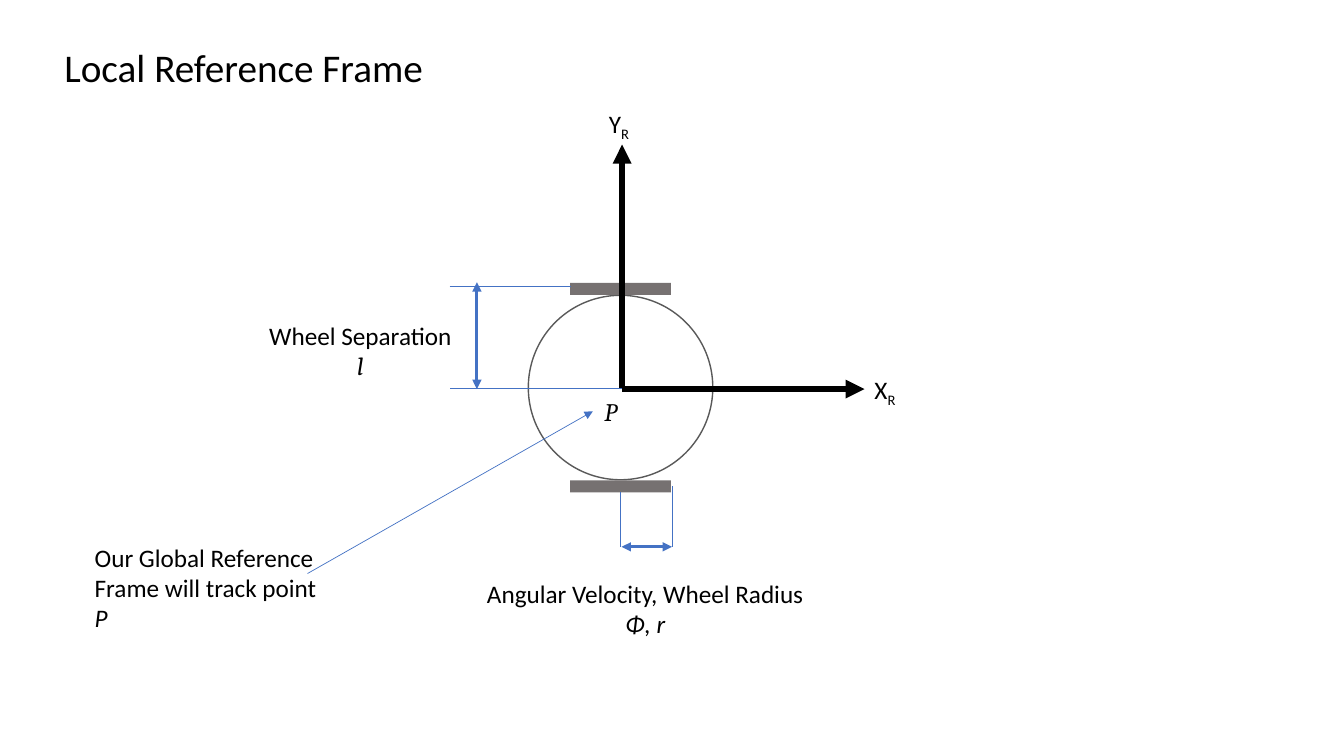
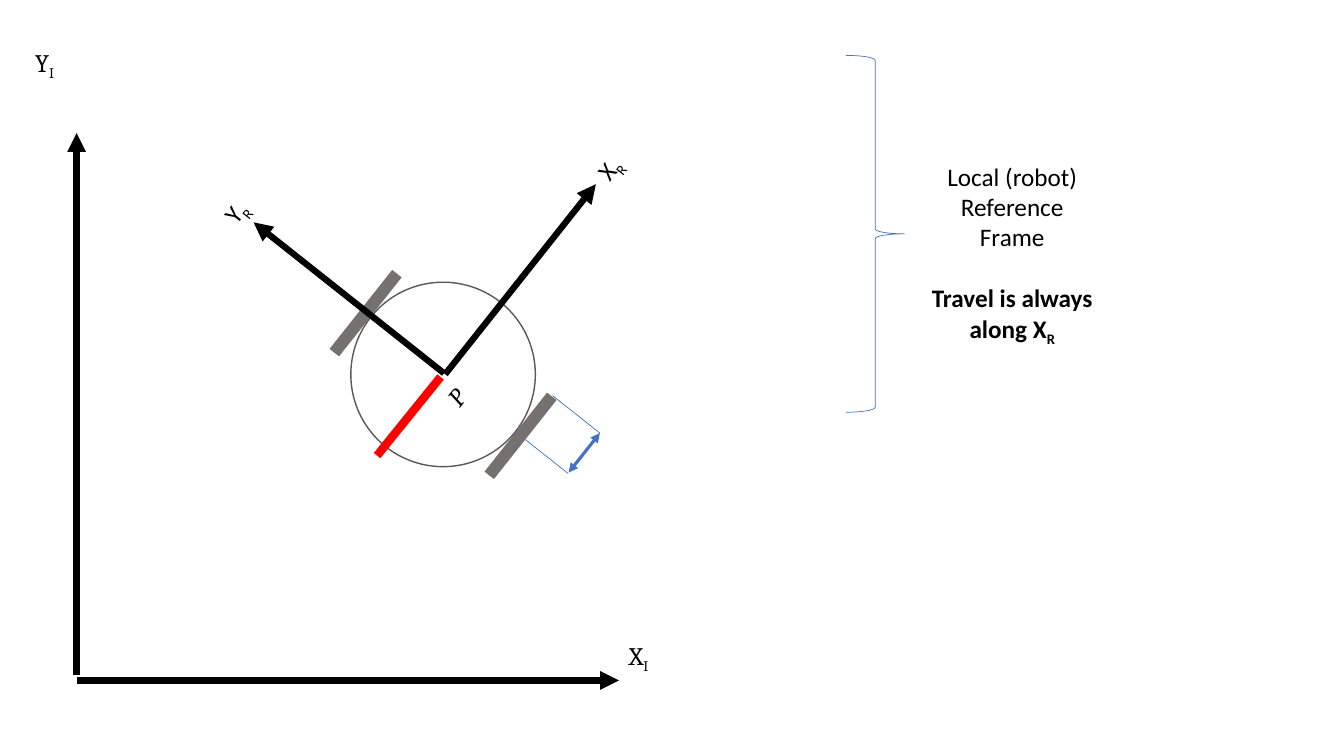
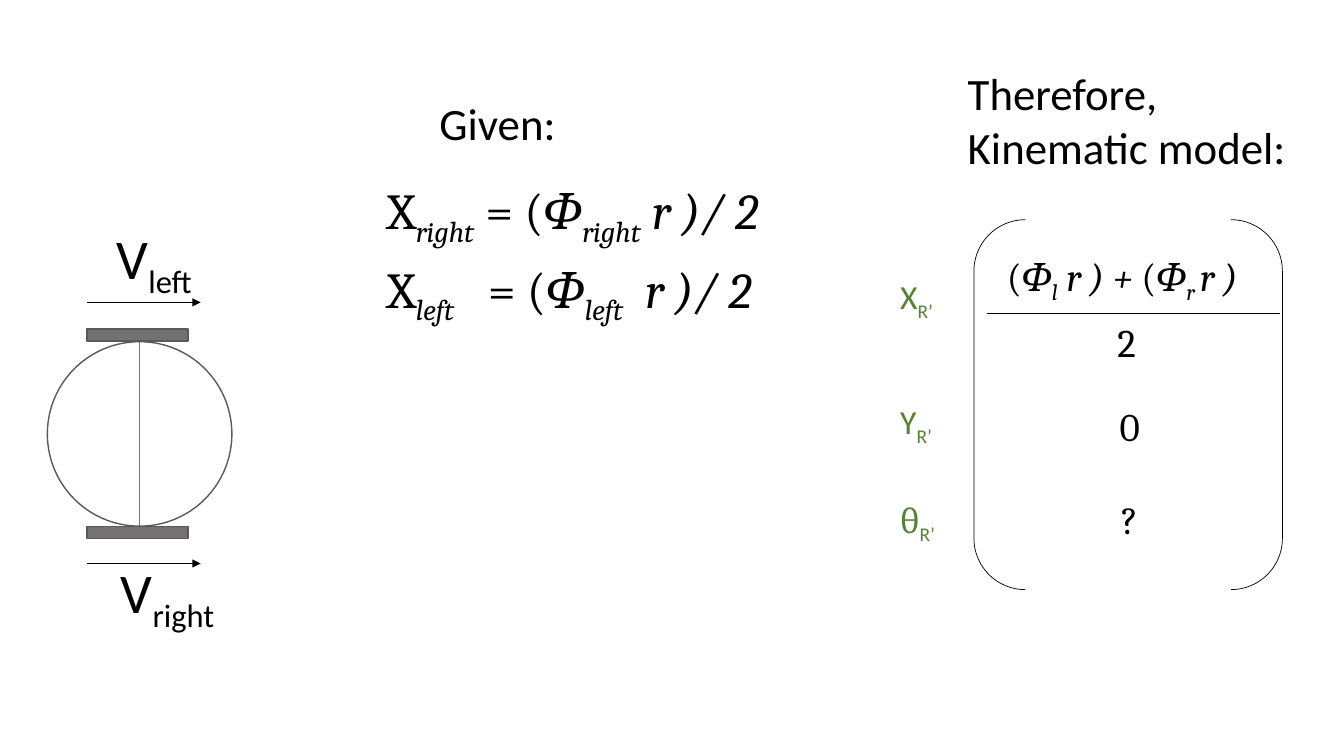
from dataclasses import dataclass
from math import cos, radians, sin
from typing import NamedTuple

from lxml.etree import SubElement
from pptx import Presentation
from pptx.dml.color import RGBColor
from pptx.enum.shapes import MSO_CONNECTOR, MSO_SHAPE
from pptx.enum.text import MSO_AUTO_SIZE, PP_ALIGN
from pptx.oxml.ns import qn
from pptx.util import Inches, Pt


@dataclass(frozen=True)
class Theme:
    black: str = "000000"
    white: str = "FFFFFF"
    blue: str = "4472C4"
    red: str = "FF0000"
    green: str = "548235"
    wheel: str = "767171"
    edge: str = "595959"
    sans: str = "Calibri"
    serif: str = "Cambria"
    body: int = 18
    state: int = 24
    title: int = 28
    head: int = 32
    math: int = 36
    speed: int = 40
    thin: float = 0.5
    rim: float = 1
    dim: float = 2.25
    axis: float = 4.5
    bar: float = 6


class Run(NamedTuple):
    text: str
    sub: bool = False
    ital: bool = False
    bold: bool = False
    font: str = ""


class Point(NamedTuple):
    x: float
    y: float


class Box(NamedTuple):
    left: float
    top: float
    width: float
    height: float


@dataclass(frozen=True)
class Frame:
    """A robot's own axes: centre and turn in degrees."""
    mid: Point
    turn: float = 0

    def at(self, x: float, y: float) -> Point:
        c, s = cos(radians(self.turn)), sin(radians(self.turn))
        return Point(self.mid.x + x * c - y * s, self.mid.y + x * s + y * c)

    def box(self, x: float, y: float, width: float, height: float) -> Box:
        mid = self.at(x, y)
        return Box(mid.x - width / 2, mid.y - height / 2, width, height)


T = Theme()
RADIUS = 0.915
WHEEL = 0.98
INSET = 0.015


# Drawing tools
def ink(code: str) -> RGBColor:
    return RGBColor.from_string(code)


def say(slide, box: Box, *lines, size: int = T.body, font: str = T.sans,
        color: str = T.black, center: bool = False, wrap: bool = True,
        turn: float = 0, gaps: tuple = (), tabs: tuple = ()) -> None:
    """Write lines, each a string or a list of runs; gaps are points before."""
    shape = slide.shapes.add_textbox(*map(Inches, box))
    shape.rotation = turn
    frame = shape.text_frame
    frame.word_wrap = wrap
    frame.auto_size = MSO_AUTO_SIZE.SHAPE_TO_FIT_TEXT
    for i, line in enumerate(lines):
        para = frame.paragraphs[0] if i == 0 else frame.add_paragraph()
        para.alignment = PP_ALIGN.CENTER if center else PP_ALIGN.LEFT
        if i < len(gaps) and gaps[i]:
            para.space_before = Pt(gaps[i])
        if tabs:
            stops = SubElement(para._p.get_or_add_pPr(), qn("a:tabLst"))
            for stop in tabs:
                SubElement(stops, qn("a:tab"), pos=str(Inches(stop)), algn="l")
        for part in [Run(line)] if isinstance(line, str) else line:
            run = para.add_run()
            run.text = part.text
            run.font.name = part.font or font
            run.font.size = Pt(size)
            run.font.color.rgb = ink(color)
            run.font.italic = part.ital
            run.font.bold = part.bold
            if part.sub:
                run._r.get_or_add_rPr().set("baseline", "-25000")


def draw(slide, kind: MSO_SHAPE, box: Box, fill: str = "", line: str = "",
         width: float = T.thin, turn: float = 0) -> None:
    shape = slide.shapes.add_shape(kind, *map(Inches, box))
    shape.shadow.inherit = False
    shape.rotation = turn
    if fill:
        shape.fill.solid()
        shape.fill.fore_color.rgb = ink(fill)
    else:
        shape.fill.background()
    if line:
        shape.line.color.rgb = ink(line)
        shape.line.width = Pt(width)
    else:
        shape.line.fill.background()


def join(slide, start: Point, end: Point, color: str = T.blue,
         width: float = T.thin, ends: tuple = ()) -> None:
    """Draw a line; ends lists which of headEnd and tailEnd have arrows."""
    line = slide.shapes.add_connector(
        MSO_CONNECTOR.STRAIGHT, *map(Inches, (*start, *end)))
    line.line.color.rgb = ink(color)
    line.line.width = Pt(width)
    outline = line.line._get_or_add_ln()
    for name in ends:
        SubElement(outline, qn(f"a:{name}"), type="triangle")
    SubElement(line._element.spPr, qn("a:effectLst"))


def axis(slide, start: Point, end: Point) -> None:
    join(slide, start, end, T.black, T.axis, ("tailEnd",))


def span(slide, start: Point, end: Point) -> None:
    join(slide, start, end, width=T.dim, ends=("headEnd", "tailEnd"))


def name(base: str, low: str) -> list[Run]:
    return [Run(base), Run(low, sub=True)]


# Robot parts
def robot(slide, frame: Frame, shift: float = 0, line: str = "") -> None:
    draw(slide, MSO_SHAPE.OVAL, frame.box(0, 0, 2 * RADIUS, 2 * RADIUS),
         T.white, T.edge, T.rim)
    for side in (-WHEEL, WHEEL):
        draw(slide, MSO_SHAPE.RECTANGLE, frame.box(shift, side, 1, 0.12),
             T.wheel, line, T.rim, frame.turn)


def local(slide, frame: Frame) -> None:
    """Draw a robot with its axes, point P and wheel radius."""
    robot(slide, frame)
    axis(slide, frame.at(INSET, INSET), frame.at(2.42, INSET))
    axis(slide, frame.at(INSET, 0), frame.at(INSET, -2.41))
    for base, x, y in (("X", 2.65, INSET), ("Y", INSET, -2.62)):
        say(slide, frame.box(x, y, 0.46, 0.4), name(base, "R"),
            turn=frame.turn)
    say(slide, frame.box(0, 0.24, 0.52, 0.4), [Run("P", ital=True)],
        font=T.serif, turn=frame.turn)
    for x, y in ((0.51, 0.98), (0, 1.04)):
        join(slide, frame.at(x, y), frame.at(x, 1.58))
    span(slide, frame.at(0.51, 1.58), frame.at(0.01, 1.58))


# Slides
def first(slide) -> None:
    say(slide, Box(0.54, 0.38, 3.76, 0.57), "Local Reference Frame",
        size=T.title, wrap=False)
    local(slide, Frame(Point(6.155, 3.845)))

    # Wheel separation
    span(slide, Point(4.73, 3.86), Point(4.73, 2.8))
    join(slide, Point(4.46, 2.84), Point(5.66, 2.84))
    join(slide, Point(6.17, 3.85), Point(4.46, 3.85))
    say(slide, Box(2.56, 3.13, 2.03, 0.71), "Wheel Separation",
        [Run("l", ital=True, font=T.serif)], center=True, wrap=False)

    # Captions
    say(slide, Box(4.71, 5.69, 3.38, 1.01), "Angular Velocity, Wheel Radius",
        [Run("Φ, r", ital=True)], center=True, wrap=False)
    join(slide, Point(3.05, 5.69), Point(5.88, 4.08), ends=("tailEnd",))
    say(slide, Box(0.84, 5.33, 2.42, 1.01), "Our Global Reference",
        "Frame will track point", [Run("P", ital=True)], wrap=False)


def second(slide) -> None:
    # Global axes
    axis(slide, Point(0.76, 6.75), Point(6.14, 6.75))
    axis(slide, Point(0.76, 6.7), Point(0.76, 1.32))
    for base, x, y in (("X", 6.14, 6.3), ("Y", 0.25, 0.42)):
        say(slide, Box(x, y, 1.04, 0.9), name(base, "I"), font=T.serif)

    # Turned robot
    local(slide, Frame(Point(4.395, 3.715), -51.6))
    join(slide, Point(3.74, 4.52), Point(4.37, 3.74), T.red, T.bar)

    # Side note
    draw(slide, MSO_SHAPE.RIGHT_BRACE, Box(8.39, 0.55, 0.58, 3.54),
         line=T.blue)
    say(slide, Box(8.96, 1.55, 2.16, 1.92), "Local (robot)", "Reference",
        "Frame", [Run("Travel is always along X", bold=True),
                  Run("R", sub=True, bold=True)],
        center=True, gaps=(0, 0, 0, 22))


def third(slide) -> None:
    # Given equations
    say(slide, Box(4.26, 0.9, 1.47, 0.64), "Given:", size=T.head, wrap=False)
    for low, lead, rest, y, tabs in (
            ("right", " = (", " r )/ 2", 1.73, ()),
            ("left", "\t= (", "\tr )/ 2", 2.51, (1, 2.56))):
        say(slide, Box(3.74, y, 4.7, 0.71),
            [Run("X"), Run(low, sub=True, ital=True), Run(lead),
             Run("Φ", ital=True), Run(low, sub=True, ital=True),
             Run(rest, ital=True)],
            size=T.math, font=T.serif, tabs=tabs)

    # Kinematic model
    draw(slide, MSO_SHAPE.DOUBLE_BRACKET, Box(9.66, 2.18, 3.06, 3.67),
         line=T.black)
    say(slide, Box(9.5, 0.6, 3.36, 1.18), "Therefore,", "Kinematic model:",
        size=T.head, wrap=False)
    total = [Run("("), Run("Φ", ital=True), Run("l", sub=True, ital=True),
             Run(" r ) + ", ital=True), Run("("), Run("Φ", ital=True),
             Run("r ", sub=True, ital=True), Run("r ) ", ital=True)]
    for x, y, line in ((9.66, 2.45, total), (9.66, 3.11, "2"),
                       (9.69, 3.94, "0"), (9.69, 4.86, "?")):
        say(slide, Box(x, y, 3.03, 0.57), line, size=T.title, font=T.serif,
            center=True)
    join(slide, Point(9.79, 3.11), Point(12.7, 3.11), T.black)
    for base, y, font in (("X", 2.69, T.sans), ("Y", 3.93, T.sans),
                          ("θ", 4.91, T.serif)):
        say(slide, Box(8.83, y, 0.56, 0.5),
            [Run(base, font=font), Run("R’", sub=True)],
            size=T.state, color=T.green, wrap=False)

    # Wheel speeds
    frame = Frame(Point(1.385, 4.305))
    robot(slide, frame, shift=-0.02, line=T.edge)
    join(slide, frame.at(0, RADIUS), frame.at(0, -RADIUS))
    for low, box, y in (("right", Box(1.1, 5.48, 1.22, 0.77), 5.59),
                        ("left", Box(1.06, 2.17, 1.03, 0.77), 3)):
        say(slide, box, name("V", low), size=T.speed, wrap=False)
        join(slide, Point(0.86, y), Point(1.99, y), T.black,
             ends=("tailEnd",))


def main() -> None:
    deck = Presentation()
    deck.slide_width, deck.slide_height = Inches(13.33), Inches(7.5)
    for build in (first, second, third):
        build(deck.slides.add_slide(deck.slide_layouts[6]))
    deck.save("out.pptx")


if __name__ == "__main__":
    main()
